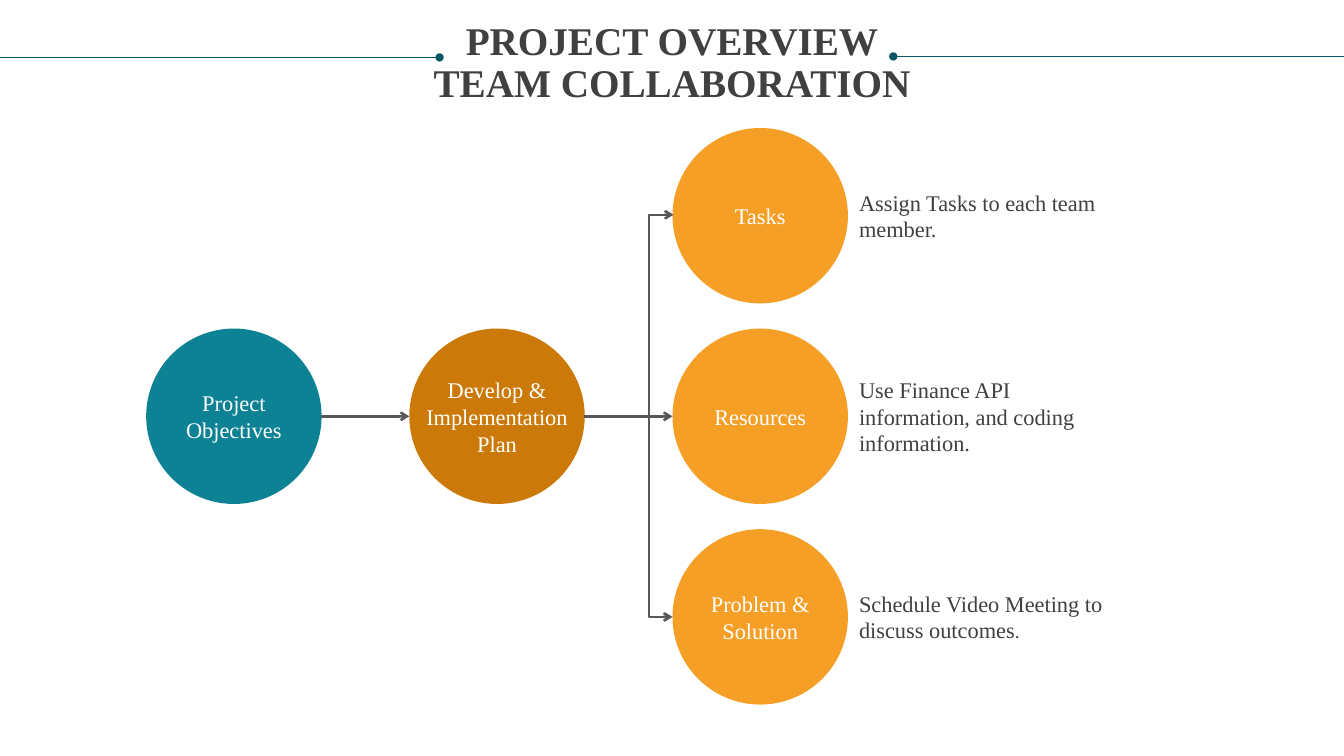
from lxml import etree
from pptx import Presentation
from pptx.dml.color import RGBColor
from pptx.enum import shapes, text
from pptx.oxml.ns import qn
from pptx.util import Inches, Pt

FONT = "Times New Roman"
TEAL, BROWN, ORANGE = "0D8295", "CB7A09", "F59F26"
RULE, ARROW, DARK, WHITE = "085764", "585858", "404040", "FFFFFF"
DIAMETER = 1.74
MIDDLE = 4.13  # centre of the main row
ROW_STEP = 1.99

deck = Presentation()
deck.slide_width, deck.slide_height = Inches(13.33), Inches(7.5)
page = deck.slides.add_slide(deck.slide_layouts[6])


def add_text(left, top, width, height, words, size, color, align, anchor):
    box = page.shapes.add_textbox(Inches(left), Inches(top), Inches(width), Inches(height))
    frame = box.text_frame
    frame.word_wrap = True
    frame.auto_size = text.MSO_AUTO_SIZE.SHAPE_TO_FIT_TEXT
    frame.vertical_anchor = anchor
    frame.margin_left = frame.margin_right = frame.margin_top = frame.margin_bottom = 0
    para = frame.paragraphs[0]
    para.text = words
    para.alignment = align
    para.font.name = FONT
    para.font.size = Pt(size)
    para.font.color.rgb = RGBColor.from_string(color)
    return para


def add_line(kind, x1, y1, x2, y2, color, weight, **ends):
    line = page.shapes.add_connector(kind, Inches(x1), Inches(y1), Inches(x2), Inches(y2))
    line.line.color.rgb = RGBColor.from_string(color)
    line.line.width = Pt(weight)
    outline = line.line._get_or_add_ln()
    for end in ("headEnd", "tailEnd"):
        if end in ends:
            etree.SubElement(outline, qn("a:" + end), type=ends[end])
    etree.SubElement(line._element.spPr, qn("a:effectLst"))
    return line


straight = shapes.MSO_CONNECTOR.STRAIGHT
center, left_align = text.PP_ALIGN.CENTER, text.PP_ALIGN.LEFT
top_anchor, middle_anchor = text.MSO_ANCHOR.TOP, text.MSO_ANCHOR.MIDDLE

# Title between two dotted rules
add_line(straight, 8.86, 0.56, 13.33, 0.56, RULE, 0.5, headEnd="oval")
title = add_text(0.25, 0.21, 12.83, 0.85, "PROJECT OVERVIEW\vTEAM COLLABORATION",
                 28, DARK, center, top_anchor)
title.font.bold = True
title.line_spacing = 0.9
add_line(straight, 0, 0.57, 4.36, 0.57, RULE, 0.5, tailEnd="oval")

# Circles: left, row offset, colour, label, label lines
circles = [
    (1.45, 0, TEAL, "Project Objectives", 2),
    (4.06, 0, BROWN, "Develop & Implementation Plan", 3),
    (6.67, 0, ORANGE, "Resources", 1),
    (6.67, -1, ORANGE, "Tasks", 1),
    (6.67, 1, ORANGE, "Problem & Solution", 2),
]
for left, row, color, label, lines in circles:
    top = MIDDLE + row * ROW_STEP - DIAMETER / 2
    circle = page.shapes.add_shape(shapes.MSO_SHAPE.OVAL, Inches(left), Inches(top),
                                   Inches(DIAMETER), Inches(DIAMETER))
    circle.shadow.inherit = False
    circle.fill.solid()
    circle.fill.fore_color.rgb = RGBColor.from_string(color)
    circle.line.fill.background()

# Arrows along the main row
for start in (3.18, 5.79):
    add_line(straight, start, MIDDLE, start + 0.88, MIDDLE, ARROW, 1.75, tailEnd="arrow")

# Bracket with an arrow to the upper and the lower circle
bracket = add_line(shapes.MSO_CONNECTOR.ELBOW, 6.67, 2.13, 6.68, 6.12, ARROW, 1.75,
                   headEnd="arrow", tailEnd="arrow")
frame_xml = bracket._element.spPr.find(qn("a:xfrm"))
frame_xml.set("rot", "10800000")
frame_xml.set("flipV", "1")
guides = bracket._element.spPr.find(qn("a:prstGeom")).get_or_add_avLst()
etree.SubElement(guides, qn("a:gd"), name="adj1", fmla="val 2450000")

# Circle labels
for left, row, color, label, lines in circles:
    height = 0.27 * lines
    add_text(left + 0.12, MIDDLE + row * ROW_STEP - height / 2, 1.5, height,
             label, 16, WHITE, center, middle_anchor)

# Notes beside the right-hand circles
notes = [
    (-1, 2, "Assign Tasks to each team member."),
    (0, 3, "Use Finance API information, and coding information."),
    (1, 2, "Schedule Video Meeting to discuss outcomes"),
]
for row, lines, words in notes:
    height = 0.265 * lines
    note = add_text(8.52, MIDDLE + row * ROW_STEP - height / 2, 2.42, height,
                    words, 16, DARK, left_align, middle_anchor)
    note.line_spacing = Pt(19)

# The last note ends in a smaller full stop
span = note.add_run()
span.text = "."
span.font.size = Pt(14)

deck.save("out.pptx")
